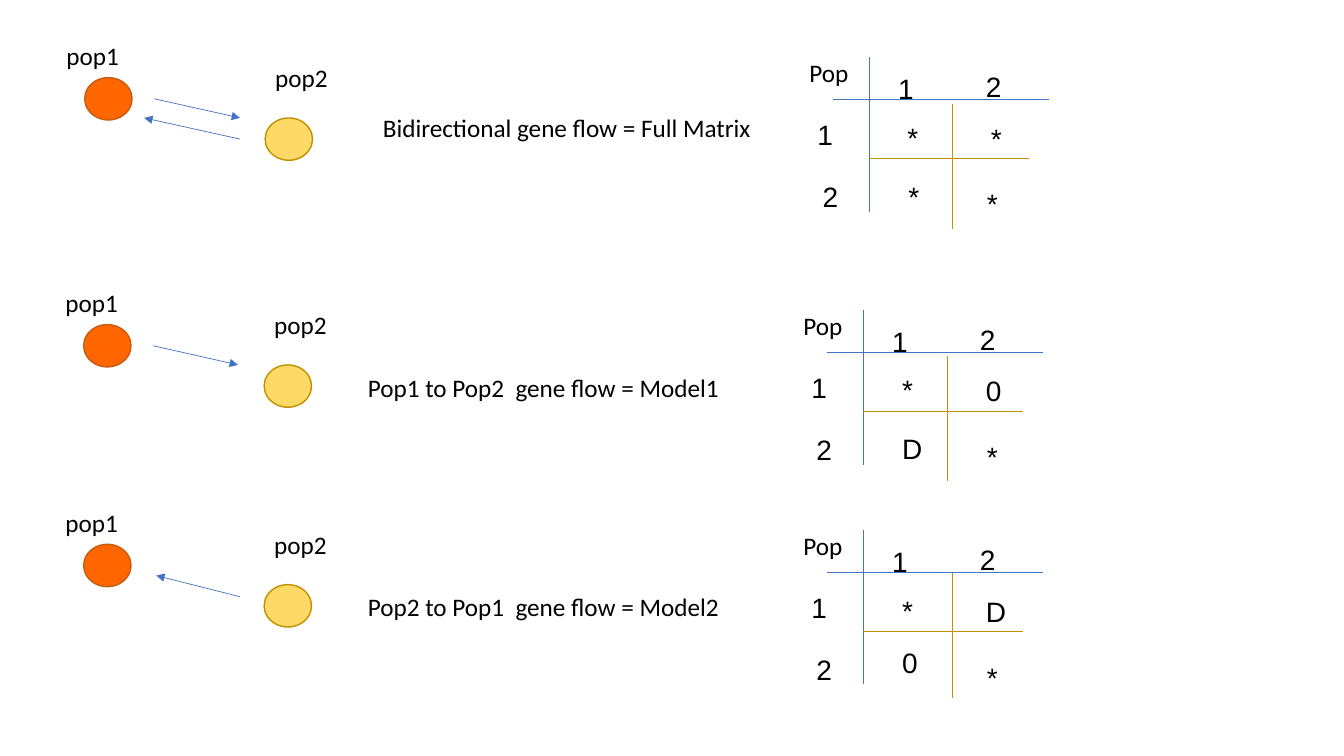
from pptx import Presentation
from pptx.dml.color import RGBColor
from pptx.enum.shapes import MSO_CONNECTOR as Connector, MSO_SHAPE as Shape
from pptx.enum.text import MSO_AUTO_SIZE as AutoSize
from pptx.oxml.ns import qn
from pptx.util import Emu, Pt
from lxml.etree import SubElement

PX = 9144  # 100 px to the inch
COLORS = {
    "text": "000000",
    "blue": "4472C4",
    "gold": "BF9000",
    "yellow": "FFD966",
    "orange": "FF6600",
    "rust": "C55A11",
}


def px(value):
    return Emu(value * PX)


def color(name):
    return RGBColor.from_string(COLORS[name])


def add_text(slide, x, y, width, text, font="Arial", size=20):
    height = 44 if size == 20 else 40
    box = slide.shapes.add_textbox(px(x), px(y), px(width), px(height))
    frame = box.text_frame
    frame.word_wrap = True
    frame.auto_size = AutoSize.SHAPE_TO_FIT_TEXT
    run = frame.paragraphs[0].add_run()
    run.text = text
    run.font.name = font
    run.font.size = Pt(size)
    run.font.color.rgb = color("text")


def add_label(slide, x, y, width, text):
    add_text(slide, x, y, width, text, "Calibri", 18)


def add_line(slide, x, y, start, end, line_color="blue", arrow=False):
    line = slide.shapes.add_connector(
        Connector.STRAIGHT,
        px(x + start[0]), px(y + start[1]), px(x + end[0]), px(y + end[1]))
    line.line.color.rgb = color(line_color)
    line.line.width = Pt(0.5)
    if arrow:
        SubElement(line.line._get_or_add_ln(), qn("a:tailEnd"), type="triangle")
    SubElement(line._element.spPr, qn("a:effectLst"))


def add_circle(slide, x, y, fill, outline):
    circle = slide.shapes.add_shape(Shape.OVAL, px(x), px(y), px(47), px(42))
    circle.shadow.inherit = False
    circle.fill.solid()
    circle.fill.fore_color.rgb = color(fill)
    circle.line.color.rgb = color(outline)
    circle.line.width = Pt(1)


def add_populations(slide, x, y, arrows):
    """Two labelled populations; x, y is the corner of the first circle."""
    add_circle(slide, x, y, "orange", "rust")
    add_circle(slide, x + 179, y + 40, "yellow", "gold")
    for start, end in arrows:
        add_line(slide, x, y, start, end, arrow=True)
    add_label(slide, x - 28, y - 42, 147, "pop1")
    add_label(slide, x + 179, y - 20, 147, "pop2")


def add_matrix(slide, x, y, cells, divider):
    """Two-by-two migration matrix; x, y is where its axes cross."""
    # Axes and inner dividers
    add_line(slide, x, y, (0, -42), (0, 111))
    add_line(slide, x, y, (-36, 0), (178, 0))
    add_line(slide, x, y, divider, (divider[0], divider[1] + 124), "gold")
    add_line(slide, x, y, (0, 58), (159, 58), "gold")

    # Column and row headings
    add_label(slide, x - 69, y - 47, 77, "Pop")
    for text, left, top in (("1", 19, -33), ("2", 106, -35),
                            ("1", -61, 13), ("2", -56, 74)):
        add_text(slide, x + left, y + top, 67, text)

    # Entries
    for text, left, top in cells:
        add_text(slide, x + left, y + top, 39, text)


# Each model: caption and its place, circle corner, arrows,
# matrix crossing, matrix entries, top of the inner vertical divider
MODELS = [
    ("Bidirectional gene flow = Full Matrix", (370, 107), (84, 77),
     [((69, 21), (154, 40)), ((154, 61), (59, 40))],
     (862, 99),
     [("*", 28, 16), ("*", 111, 17), ("*", 29, 74), ("*", 107, 81)], (83, 4)),
    ("Pop1 to Pop2  gene flow = Model1", (355, 364), (83, 322),
     [((69, 21), (153, 40))],
     (856, 350),
     [("*", 29, 15), ("0", 112, 16), ("D", 29, 73), ("*", 113, 81)], (84, 3)),
    ("Pop2 to Pop1  gene flow = Model2", (355, 582), (83, 540),
     [((155, 52), (72, 31))],
     (856, 568),
     [("*", 29, 16), ("D", 112, 17), ("0", 29, 67), ("*", 113, 82)], (89, 0)),
]


def main():
    presentation = Presentation()
    presentation.slide_width = px(1333)
    presentation.slide_height = px(750)
    slide = presentation.slides.add_slide(presentation.slide_layouts[6])
    for caption, caption_at, circle_at, arrows, axes_at, cells, divider in MODELS:
        add_populations(slide, *circle_at, arrows)
        add_label(slide, *caption_at, 403, caption)
        add_matrix(slide, *axes_at, cells, divider)
    presentation.save("out.pptx")


if __name__ == "__main__":
    main()
